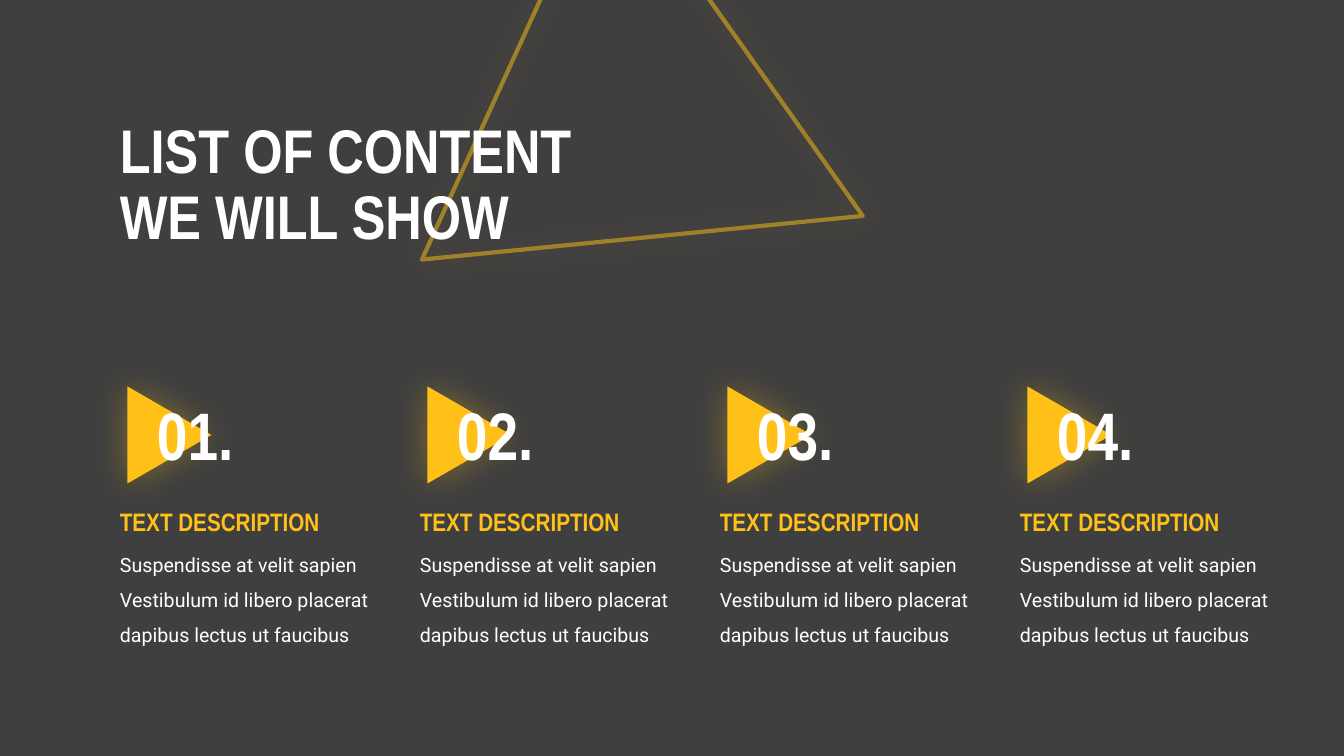
from lxml.etree import SubElement
from pptx import Presentation
from pptx.dml.color import RGBColor
from pptx.enum.shapes import MSO_SHAPE
from pptx.enum.text import MSO_ANCHOR
from pptx.oxml.ns import qn
from pptx.util import Emu, Pt

SLIDE_WIDTH, SLIDE_HEIGHT = 1344, 756
EMU_PER_PX = 12192000 / SLIDE_WIDTH
COLORS = {"background": "3F3F3F", "accent": "FFC118", "text": "FFFFFF"}
HEADING_FONT, BODY_FONT = "Arial Narrow", "Roboto"

FIRST_COLUMN, COLUMN_PITCH = 110, 300
DESCRIPTION = ("Suspendisse at velit sapien Vestibulum id libero placerat "
               "dapibus lectus ut faucibus")
TOPICS = [
    ("01.", "TEXT DESCRIPTION", DESCRIPTION),
    ("02.", "TEXT DESCRIPTION", DESCRIPTION),
    ("03.", "TEXT DESCRIPTION", DESCRIPTION),
    ("04.", "TEXT DESCRIPTION", DESCRIPTION),
]


def px(length):
    return Emu(round(length * EMU_PER_PX))


def rgb(name):
    return RGBColor.from_string(COLORS[name])


def add_alpha(color_element, percent):
    SubElement(color_element, qn("a:alpha"), val=str(percent * 1000))


def add_glow_shadow(shape):
    """Surround the shape with a soft accent shadow that has no offset."""
    shape.shadow.inherit = False
    effects = shape._element.spPr.find(qn("a:effectLst"))
    shadow = SubElement(effects, qn("a:outerShdw"), blurRad=str(Pt(25)),
                        dist="0", dir="0", algn="ctr", rotWithShape="0")
    color = SubElement(shadow, qn("a:srgbClr"), val=COLORS["accent"])
    add_alpha(color, 35)


def add_triangle(slide, left, top, width, height, rotation):
    triangle = slide.shapes.add_shape(
        MSO_SHAPE.ISOSCELES_TRIANGLE, px(left), px(top), px(width), px(height))
    triangle.rotation = rotation
    add_glow_shadow(triangle)
    return triangle


def add_outline_triangle(slide):
    triangle = add_triangle(slide, 466, -55, 445, 383, 114.5)
    triangle.fill.background()
    triangle.line.color.rgb = rgb("accent")
    triangle.line.width = Pt(3)
    add_alpha(triangle.line._ln.find(f".//{qn('a:srgbClr')}"), 50)


def add_play_marker(slide, left, top):
    marker = add_triangle(slide, left, top, 97, 84, 90)
    marker.fill.solid()
    marker.fill.fore_color.rgb = rgb("accent")
    marker.line.fill.background()


def add_text(slide, lines, left, top, width, height, *, size, color="text",
             font=HEADING_FONT, bold=True, spacing=1.0, anchor=MSO_ANCHOR.TOP):
    """Add one paragraph, with a line break between the given lines."""
    frame = slide.shapes.add_textbox(
        px(left), px(top), px(width), px(height)).text_frame
    frame.word_wrap = True
    frame.vertical_anchor = anchor
    paragraph = frame.paragraphs[0]
    paragraph.line_spacing = spacing
    for index, line in enumerate(lines):
        if index:
            paragraph.add_line_break()
        paragraph.add_run().text = line
    paragraph.font.name = font
    for run in paragraph.runs:
        run.font.name = font
        run.font.size = Pt(size)
        run.font.bold = bold
        run.font.color.rgb = rgb(color)


def add_topic(slide, left, number, heading, description):
    add_play_marker(slide, left + 11, 393)
    add_text(slide, [number], left + 37, 388, 134, 92, size=48)
    add_text(slide, [description], left, 536, 283, 113, size=14,
             font=BODY_FONT, bold=False, spacing=1.5)
    add_text(slide, [heading], left, 501, 247, 40, size=18, color="accent")


def main():
    presentation = Presentation()
    presentation.slide_width = px(SLIDE_WIDTH)
    presentation.slide_height = px(SLIDE_HEIGHT)
    slide = presentation.slides.add_slide(presentation.slide_layouts[6])
    slide.background.fill.solid()
    slide.background.fill.fore_color.rgb = rgb("background")

    add_outline_triangle(slide)
    add_text(slide, ["LIST OF CONTENT", "WE WILL SHOW"], 110, 107, 566, 159,
             size=44, spacing=0.9, anchor=MSO_ANCHOR.MIDDLE)
    for column, topic in enumerate(TOPICS):
        add_topic(slide, FIRST_COLUMN + column * COLUMN_PITCH, *topic)

    presentation.save("out.pptx")


if __name__ == "__main__":
    main()
